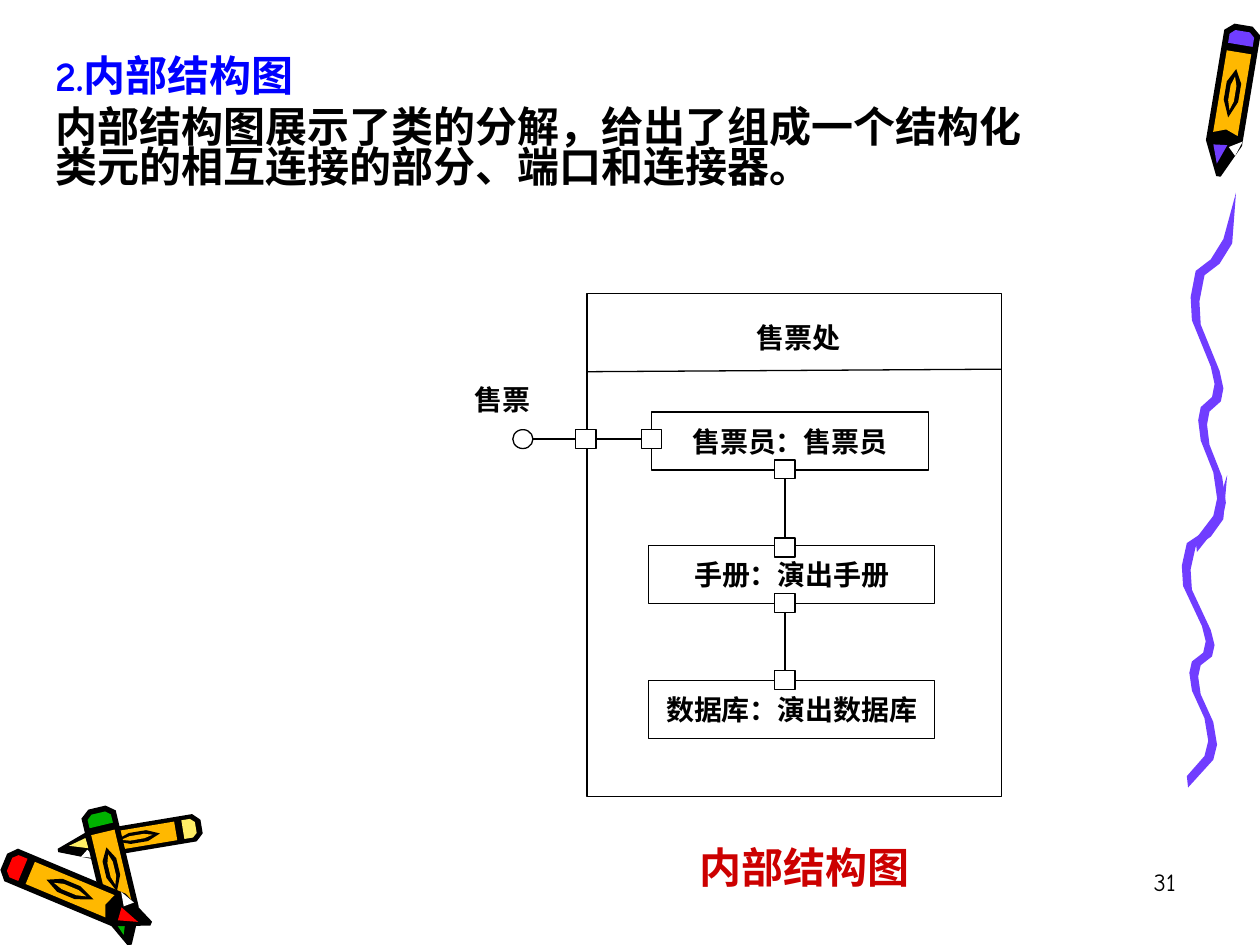
import math
import pptx
import pptx.util
import pptx.dml.color
import pptx.enum.shapes
import pptx.enum.text
import lxml.etree
from pptx.oxml.ns import qn

Inches, Pt = pptx.util.Inches, pptx.util.Pt
SHAPE = pptx.enum.shapes.MSO_SHAPE
ALIGN = pptx.enum.text.PP_ALIGN
ANCHOR = pptx.enum.text.MSO_ANCHOR

BLACK, WHITE, PURPLE = "000000", "FFFFFF", "703DFF"
ORANGE, YELLOW, RED, GREEN = "FFB800", "FFEF66", "FF0000", "00B200"
SERIF, COMIC, CJK = "Times New Roman", "Comic Neue", "Noto Sans CJK SC"

# Content
BODY = [
    ("2.内部结构图", COMIC, "0000FF"),
    ("内部结构图展示了类的分解，给出了组成一个结构化类元的相互连接的部分、端口和连接器。", CJK, BLACK),
]
PARTS = [  # text, left, top, width
    ("售票员：售票员", 5.17, 3.27, 2.2),
    ("手册：演出手册", 5.15, 4.33, 2.27),
    ("数据库：演出数据库", 5.15, 5.4, 2.27),
]
LABELS = [("售票处", 5.85, 2.45, 0.97), ("售票", 3.58, 2.94, 0.81)]
ROW_HEIGHT = 0.46
PORT_SIZE = (0.16, 0.15)
PORT_LEFT, PORT_TOPS = 6.15, (3.65, 4.27, 4.71, 5.32)
INTERFACE_TOP, INTERFACE_LEFTS = 3.41, (4.57, 5.09)
CIRCLE_LEFT = 4.07

# Decoration: every crayon is the same drawing, laid from its tail to its tip
CRAYONS = [  # tail, tip, thickness, wax colour
    ((1.6, 6.56), (0.46, 6.75), 0.22, YELLOW),
    ((0.77, 6.41), (1.03, 7.5), 0.28, GREEN),
    ((0.03, 6.84), (1.2, 7.33), 0.28, RED),
    ((9.87, 0.2), (9.67, 1.4), 0.29, PURPLE),
]
# Crayon pieces, back to front; corners are (share of length, share of thickness from the axis)
WAX = "wax"
CRAYON_PIECES = [
    (BLACK, [(0, -0.25), (0.05, -0.5), (0.78, -0.5), (1, -0.06),
             (1, 0.06), (0.78, 0.5), (0.05, 0.5), (0, 0.25)]),
    (WAX, [(0.04, -0.2), (0.07, -0.34), (0.13, -0.34), (0.13, 0.34), (0.07, 0.34), (0.04, 0.2)]),
    (ORANGE, [(0.18, -0.34), (0.72, -0.34), (0.69, 0), (0.72, 0.34), (0.18, 0.34)]),
    (WAX, [(0.79, -0.1), (0.8, 0.28), (0.92, 0.1)]),
    (WHITE, [(0.75, -0.5), (0.8, -0.15), (0.85, -0.36)]),
    (BLACK, [(0.29, 0), (0.38, -0.2), (0.5, -0.2), (0.61, 0), (0.5, 0.2), (0.38, 0.2)]),
    (ORANGE, [(0.34, 0), (0.4, -0.08), (0.5, -0.08), (0.56, 0), (0.5, 0.08), (0.4, 0.08)]),
]
# Squiggle: the left edge of a brush stroke, from its top, in inches
STROKE = [(0.36, 0), (0.26, 0.32), (0.16, 0.46), (0.04, 0.54), (0, 0.72), (0.01, 0.88), (0.16, 1.2), (0.19, 1.32),
          (0.17, 1.41), (0.08, 1.48), (0.06, 1.57), (0.08, 1.71), (0.18, 1.93), (0.21, 2.11), (0.18, 2.23),
          (0.04, 2.39)]
BRUSH = (0.07, 0.03)
STROKE_END = (0.05, 2.48)
STROKE_PLACES = [(9.38, 3.77, 1), (9.45, 1.53, 1.15)]  # left, top, vertical stretch


def rgb(color):
    return pptx.dml.color.RGBColor.from_string(color)


def set_fill(shape, color):
    shape.shadow.inherit = False
    if color:
        shape.fill.solid()
        shape.fill.fore_color.rgb = rgb(color)
    else:
        shape.fill.background()


def style_run(paragraph, size, font_name, color, bold=True):
    font = paragraph.runs[0].font
    font.size, font.name, font.bold = Pt(size), font_name, bold
    font.color.rgb = rgb(color)
    east_asian = lxml.etree.SubElement(paragraph.runs[0]._r.get_or_add_rPr(), qn("a:ea"))
    east_asian.set("typeface", CJK)


def add_polygon(shapes, color, corners):
    points = [(Inches(x), Inches(y)) for x, y in corners]
    builder = shapes.build_freeform(*points[0])
    builder.add_line_segments(points[1:], close=True)
    polygon = builder.convert_to_shape()
    set_fill(polygon, color)
    polygon.line.fill.background()


def add_crayon(slide, tail, tip, thickness, wax):
    """Map each piece from shares along and across the crayon to slide inches."""
    group = slide.shapes.add_group_shape()
    along_x, along_y = tip[0] - tail[0], tip[1] - tail[1]
    length = math.hypot(along_x, along_y)
    across_x, across_y = -along_y / length * thickness, along_x / length * thickness
    for color, corners in CRAYON_PIECES:
        add_polygon(group.shapes, wax if color == WAX else color,
                    [(tail[0] + u * along_x + v * across_x, tail[1] + u * along_y + v * across_y)
                     for u, v in corners])


def add_squiggle(slide):
    """Close the stroke with the same edge shifted by the brush, pointed at the top."""
    right_edge = [(x + BRUSH[0], y + BRUSH[1]) for x, y in STROKE[1:-1]]
    outline = STROKE + [STROKE_END] + right_edge[::-1]
    group = slide.shapes.add_group_shape()
    for left, top, stretch in STROKE_PLACES:
        add_polygon(group.shapes, PURPLE, [(left + x, top + y * stretch) for x, y in outline])


def add_box(slide, left, top, width, height, kind=SHAPE.RECTANGLE, fill=None, outlined=True, text=""):
    shape = slide.shapes.add_shape(kind, Inches(left), Inches(top), Inches(width), Inches(height))
    set_fill(shape, fill)
    if outlined:
        shape.line.color.rgb = rgb(BLACK)
        shape.line.width = Pt(0.75)
    else:
        shape.line.fill.background()
    if text:
        shape.text_frame.text = text
        shape.text_frame.word_wrap = False
        shape.text_frame.vertical_anchor = ANCHOR.MIDDLE
        paragraph = shape.text_frame.paragraphs[0]
        paragraph.alignment = ALIGN.CENTER
        style_run(paragraph, 16, SERIF, BLACK)
    return shape


def add_line(slide, x1=0, y1=0, x2=0, y2=0):
    line = slide.shapes.add_connector(pptx.enum.shapes.MSO_CONNECTOR.STRAIGHT,
                                      Inches(x1), Inches(y1), Inches(x2), Inches(y2))
    line.line.color.rgb = rgb(BLACK)
    line.line.width = Pt(0.75)
    lxml.etree.SubElement(line._element.spPr, qn("a:effectLst"))
    return line


def join(slide, start, start_side, end, end_side):
    line = add_line(slide)
    line.begin_connect(start, start_side)
    line.end_connect(end, end_side)


def add_text(slide, left, top, width, height, text):
    frame = slide.shapes.add_textbox(Inches(left), Inches(top), Inches(width), Inches(height)).text_frame
    frame.word_wrap = True
    frame.text = text
    return frame


def add_structure_diagram(slide):
    add_box(slide, 4.66, 2.33, 3.29, 3.99)
    add_line(slide, 4.66, 2.95, 7.95, 2.93)
    for text, left, top, width in LABELS:
        add_box(slide, left, top, width, ROW_HEIGHT, fill=WHITE, outlined=False, text=text)
    for text, left, top, width in PARTS:
        add_box(slide, left, top, width, ROW_HEIGHT, text=text)

    ports = [add_box(slide, PORT_LEFT, top, *PORT_SIZE, fill=WHITE) for top in PORT_TOPS]
    for upper, lower in zip(ports[::2], ports[1::2]):
        join(slide, upper, 2, lower, 0)

    add_box(slide, CIRCLE_LEFT, INTERFACE_TOP, *PORT_SIZE, kind=SHAPE.OVAL, fill=WHITE)
    outer, inner = [add_box(slide, left, INTERFACE_TOP, *PORT_SIZE, fill=WHITE) for left in INTERFACE_LEFTS]
    middle = INTERFACE_TOP + PORT_SIZE[1] / 2
    add_line(slide, CIRCLE_LEFT + PORT_SIZE[0], middle, INTERFACE_LEFTS[0], middle).end_connect(outer, 1)
    join(slide, outer, 3, inner, 1)


def main():
    presentation = pptx.Presentation()
    presentation.slide_width, presentation.slide_height = Inches(10), Inches(7.5)
    slide = presentation.slides.add_slide(presentation.slide_layouts[6])
    for crayon in CRAYONS:
        add_crayon(slide, *crayon)
    add_squiggle(slide)

    number = add_text(slide, 7.35, 6.83, 2.08, 0.5, "31").paragraphs[0]
    number.alignment = ALIGN.RIGHT
    style_run(number, 14, COMIC, BLACK, bold=False)

    body = add_text(slide, 0.34, 0.42, 8.16, 1.86, "\n".join(text for text, _, _ in BODY))
    for paragraph, (_, font_name, color) in zip(body.paragraphs, BODY):
        paragraph.line_spacing, paragraph.space_before = 0.8, Pt(6)
        style_run(paragraph, 24, font_name, color)

    add_structure_diagram(slide)
    caption = add_text(slide, 5.2, 6.58, 2.37, 0.59, "内部结构图")
    caption.vertical_anchor = ANCHOR.MIDDLE
    caption.paragraphs[0].alignment = ALIGN.CENTER
    style_run(caption.paragraphs[0], 24, SERIF, "CC0000")
    presentation.save("out.pptx")


if __name__ == "__main__":
    main()
